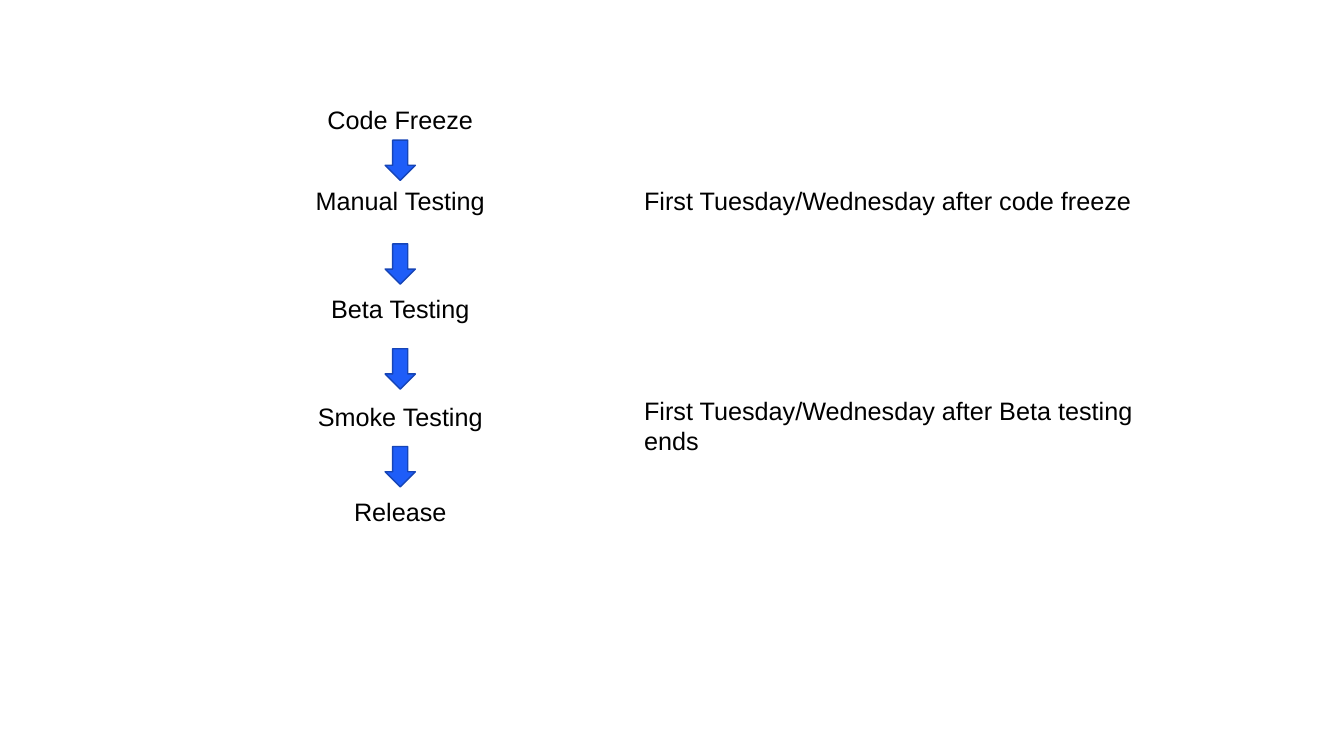
from pptx import Presentation
from pptx import util as u
from pptx.dml.color import RGBColor
from pptx.enum import shapes, text

WIDTH = 5.12
LINE = 0.4
STEPS = [
    ("Code Freeze", 0),
    ("Manual Testing", 0.8),
    ("Beta Testing", 1.87),
    ("Smoke Testing", 2.94),
    ("Release", 3.88),
]
ARROWS = [0.4, 1.43, 2.47, 3.44]
NOTES = [
    ("First Tuesday/Wednesday after code freeze", 0.8, LINE),
    ("First Tuesday/Wednesday after Beta testing ends", 2.88, 0.71),
]


def color(code):
    return RGBColor.from_string(code)


def label(slide, words, left, top, width, height, size=18, font="Arial",
          ink="000000", align=text.PP_ALIGN.LEFT):
    box = slide.shapes.add_textbox(*map(u.Inches, (left, top, width, height)))
    frame = box.text_frame
    frame.word_wrap = True
    frame.auto_size = text.MSO_AUTO_SIZE.SHAPE_TO_FIT_TEXT
    para = frame.paragraphs[0]
    para.alignment = align
    run = para.add_run()
    run.text = words
    run.font.size = u.Pt(size)
    run.font.name = font
    run.font.color.rgb = color(ink)


def arrow(slide, left, top, width, height):
    shape = slide.shapes.add_shape(
        shapes.MSO_SHAPE.DOWN_ARROW,
        *map(u.Inches, (left, top, width, height)))
    shape.shadow.inherit = False
    shape.fill.solid()
    shape.fill.fore_color.rgb = color("1E5DF8")
    shape.line.color.rgb = color("1645B7")
    shape.line.width = u.Pt(1)


def flow(slide, left, top, width):
    for words, drop in STEPS:
        label(slide, words, left, top + drop, width, LINE,
              align=text.PP_ALIGN.CENTER)
    span = 0.3
    for drop in ARROWS:
        arrow(slide, left + (width - span) / 2, top + drop, span, LINE)


def notes(slide, left, top, width):
    for words, drop, height in NOTES:
        label(slide, words, left, top + drop, width, height)


def main():
    deck = Presentation()
    deck.slide_width = u.Inches(13.33)
    deck.slide_height = u.Inches(7.5)
    slide = deck.slides.add_slide(deck.slide_layouts[6])
    flow(slide, 1.41, 0.99, WIDTH)
    notes(slide, 6.29, 0.99, WIDTH)
    deck.save("out.pptx")


if __name__ == "__main__":
    main()
